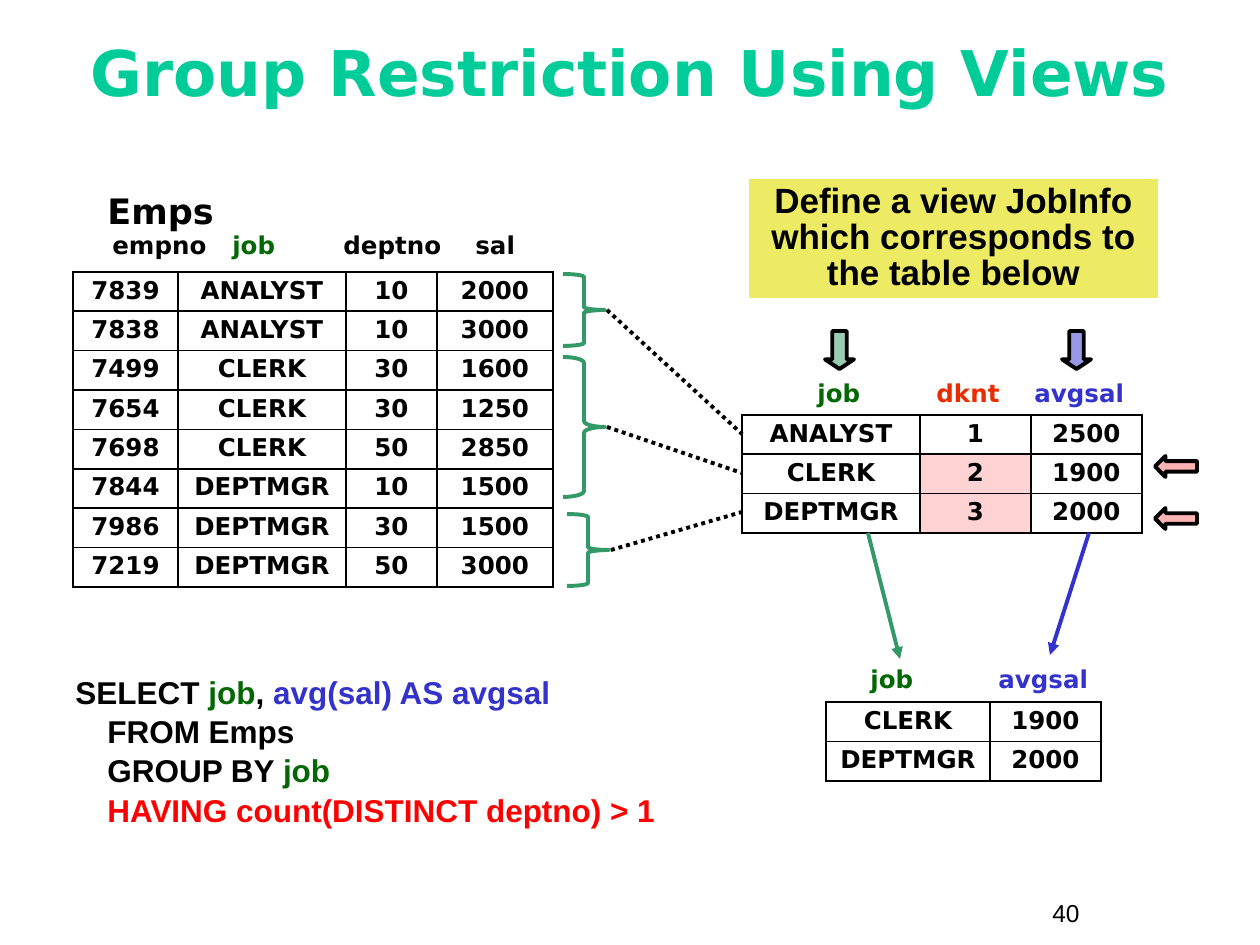
from dataclasses import dataclass

from lxml import etree
from pptx import Presentation
from pptx.dml.color import RGBColor
from pptx.enum.dml import MSO_LINE
from pptx.enum.shapes import MSO_CONNECTOR, MSO_SHAPE
from pptx.enum.text import MSO_ANCHOR, MSO_AUTO_SIZE, PP_ALIGN
from pptx.oxml.ns import qn
from pptx.util import Pt

CENTER, LEFT = PP_ALIGN.CENTER, PP_ALIGN.LEFT
TOP, MIDDLE = MSO_ANCHOR.TOP, MSO_ANCHOR.MIDDLE
DOTTED = MSO_LINE.ROUND_DOT
STRAIGHT = MSO_CONNECTOR.STRAIGHT
BRACE, RECT = MSO_SHAPE.RIGHT_BRACE, MSO_SHAPE.RECTANGLE
DOWN, BACK = MSO_SHAPE.DOWN_ARROW, MSO_SHAPE.LEFT_ARROW
PX_PER_INCH = 126


@dataclass(frozen=True)
class Theme:
    heading_font: str = "DejaVu Sans"
    body_font: str = "Arial"
    title_size: int = 36
    large_size: int = 20
    query_size: int = 18
    small_size: int = 14
    line_width: float = 2.25
    border_width: float = 1.08
    black: str = "000000"
    title: str = "00CC99"
    job: str = "036703"
    count: str = "EA2D00"
    average: str = "3333CC"
    group: str = "339966"
    having: str = "FF0000"
    callout: str = "EDEA63"
    kept_cell: str = "FFD3D3"
    kept_arrow: str = "FFB3B3"


THEME = Theme()

EMPS = [
    ("7839", "ANALYST", "10", "2000"),
    ("7838", "ANALYST", "10", "3000"),
    ("7499", "CLERK", "30", "1600"),
    ("7654", "CLERK", "30", "1250"),
    ("7698", "CLERK", "50", "2850"),
    ("7844", "DEPTMGR", "10", "1500"),
    ("7986", "DEPTMGR", "30", "1500"),
    ("7219", "DEPTMGR", "50", "3000"),
]
JOB_INFO = [("ANALYST", "1", "2500"), ("CLERK", "2", "1900"), ("DEPTMGR", "3", "2000")]
RESULT = [("CLERK", "1900"), ("DEPTMGR", "2000")]


def px(length):
    return int(length * 914400 / PX_PER_INCH)


def box(*lengths):
    return [px(length) for length in lengths]


def apply(target, formats):
    for attribute, value in formats.items():
        setattr(target, attribute, value)


def paint(fill, color, alpha=None):
    fill.solid()
    fill.fore_color.rgb = RGBColor.from_string(color)
    if alpha:
        color_node = fill._xPr.find(qn("a:solidFill"))[0]
        etree.SubElement(color_node, qn("a:alpha"), val=str(alpha * 1000))


def write(frame, pieces, size, font=THEME.heading_font, bold=True, align=LEFT,
          spacing=1.0, anchor=TOP, tabs=(), hanging=0):
    """Fill a frame with one paragraph of (text, color) pieces."""
    apply(frame, {"word_wrap": True, "auto_size": MSO_AUTO_SIZE.NONE,
                  "vertical_anchor": anchor})
    paragraph = frame.paragraphs[0]
    properties = paragraph._p.get_or_add_pPr()
    if hanging:
        properties.set("marL", str(px(hanging)))
        properties.set("indent", str(-px(hanging)))
    if tabs:
        stops = etree.SubElement(properties, qn("a:tabLst"))
        for stop in tabs:
            etree.SubElement(stops, qn("a:tab"), pos=str(px(stop)), algn="l")
    apply(paragraph, {"alignment": align, "line_spacing": spacing})
    for text, color in pieces:
        for number, line in enumerate(text.split("\n")):
            if number:
                paragraph.add_line_break()
            if line:
                run = paragraph.add_run()
                run.text = line
                apply(run.font, {"name": font, "size": Pt(size), "bold": bold})
                run.font.color.rgb = RGBColor.from_string(color)


def add_label(slide, place, pieces, size, **formats):
    write(slide.shapes.add_textbox(*box(*place)).text_frame, pieces, size, **formats)


def add_borders(cell):
    properties = cell._tc.get_or_add_tcPr()
    for side in ("lnL", "lnR", "lnT", "lnB"):
        border = etree.SubElement(properties, qn(f"a:{side}"),
                                  w=str(Pt(THEME.border_width)))
        fill = etree.SubElement(border, qn("a:solidFill"))
        etree.SubElement(fill, qn("a:srgbClr"), val=THEME.black)


def add_grid(slide, left, top, widths, height, rows, kept=()):
    """Draw a bordered table; kept lists the (row, column) cells to tint."""
    place = box(left, top, sum(widths), height)
    table = slide.shapes.add_table(len(rows), len(widths), *place).table
    apply(table, {"first_row": False, "horz_banding": False})
    for column, width in zip(table.columns, widths):
        column.width = px(width)
    for r, values in enumerate(rows):
        for c, value in enumerate(values):
            cell = table.cell(r, c)
            write(cell.text_frame, [(value, THEME.black)], THEME.small_size,
                  align=CENTER, spacing=0.9)
            add_borders(cell)
            if (r, c) in kept:
                paint(cell.fill, THEME.kept_cell)
            else:
                cell.fill.background()


def add_figure(slide, kind, place, fill=None, alpha=None, line=None, adjust=()):
    figure = slide.shapes.add_shape(kind, *box(*place))
    figure.shadow.inherit = False
    for number, value in enumerate(adjust):
        figure.adjustments[number] = value
    if fill:
        paint(figure.fill, fill, alpha)
    else:
        figure.fill.background()
    if line:
        paint(figure.line.fill, line)
        figure.line.width = Pt(THEME.line_width)
    else:
        figure.line.fill.background()
    return figure


def add_link(slide, start, end, color, dash=None, arrow=False):
    link = slide.shapes.add_connector(STRAIGHT, *box(*start, *end))
    paint(link.line.fill, color)
    apply(link.line, {"width": Pt(THEME.line_width), "dash_style": dash})
    if arrow:
        etree.SubElement(link.line._get_or_add_ln(), qn("a:tailEnd"), type="triangle")
    etree.SubElement(link._element.spPr, qn("a:effectLst"))


def main():
    t = THEME
    deck = Presentation()
    apply(deck, {"slide_width": px(1260), "slide_height": px(945)})
    slide = deck.slides.add_slide(deck.slide_layouts[5])

    # Title and slide number
    title = slide.shapes.title
    apply(title, dict(zip(("left", "top", "width", "height"), box(42, 13, 1176, 116))))
    write(title.text_frame, [("Group Restriction Using Views", t.title)], t.title_size,
          align=CENTER, anchor=MIDDLE)
    add_label(slide, (1040, 892, 116, 43), [("40", t.black)], t.small_size,
              font=t.body_font, bold=False)

    # Employees
    add_label(slide, (95, 183, 294, 55), [("Emps", t.black)], t.large_size)
    add_label(slide, (100, 224, 441, 43),
              [("empno\t", t.black), ("job", t.job), ("\tdeptno\tsal", t.black)],
              t.small_size, tabs=(120, 231, 363))
    add_grid(slide, 73, 272, (105, 168, 91, 116), 315, EMPS)

    # View over the groups
    add_label(slide, (805, 372, 359, 43),
              [("job", t.job), ("\tdknt", t.count), ("\tavgsal", t.average)],
              t.small_size, tabs=(119, 217))
    add_grid(slide, 742, 415, (178, 111, 111), 118, JOB_INFO, kept=((1, 1), (2, 1)))

    # Braces joining each group to its view row
    brace_width = 42
    for row, (left, top, height) in enumerate(
            ((563, 274, 72), (563, 357, 140), (567, 514, 72))):
        add_figure(slide, BRACE, (left, top, brace_width, height), line=t.group,
                   adjust=(height / 24 / brace_width, 0.5))
        add_link(slide, (left + brace_width + 2, top + height // 2),
                 (742, 434 + 39 * row), t.black, dash=DOTTED)

    # Query result
    add_label(slide, (858, 658, 273, 43), [("job", t.job), ("\tavgsal", t.average)],
              t.small_size, tabs=(128,))
    add_grid(slide, 826, 702, (164, 111), 79, RESULT)
    add_link(slide, (868, 533), (900, 659), t.group, arrow=True)
    add_link(slide, (1089, 533), (1050, 655), t.average, arrow=True)

    # Query
    add_label(slide, (63, 665, 630, 164),
              [("SELECT ", t.black), ("job", t.job), (", ", t.black),
               ("avg(sal) AS avgsal\n", t.average), ("FROM Emps\nGROUP BY ", t.black),
               ("job\n", t.job), ("HAVING count(DISTINCT deptno) > 1", t.having)],
              t.query_size, font=t.body_font, spacing=1.04, hanging=32)

    # Task callout
    callout = add_figure(slide, RECT, (749, 179, 409, 119), fill=t.callout)
    write(callout.text_frame,
          [("Define a view JobInfo\nwhich corresponds to the table below", t.black)],
          t.large_size, font=t.body_font, align=CENTER, spacing=0.85)

    # Arrows at the kept rows and the selected columns
    for top in (456, 508):
        add_figure(slide, BACK, (1155, top, 42, 21), fill=t.kept_arrow, line=t.black)
    for left, color in ((825, t.group), (1062, t.average)):
        add_figure(slide, DOWN, (left, 331, 29, 38), fill=color, alpha=50,
                   line=t.black, adjust=(0.5, 0.33))

    deck.save("out.pptx")


if __name__ == "__main__":
    main()
